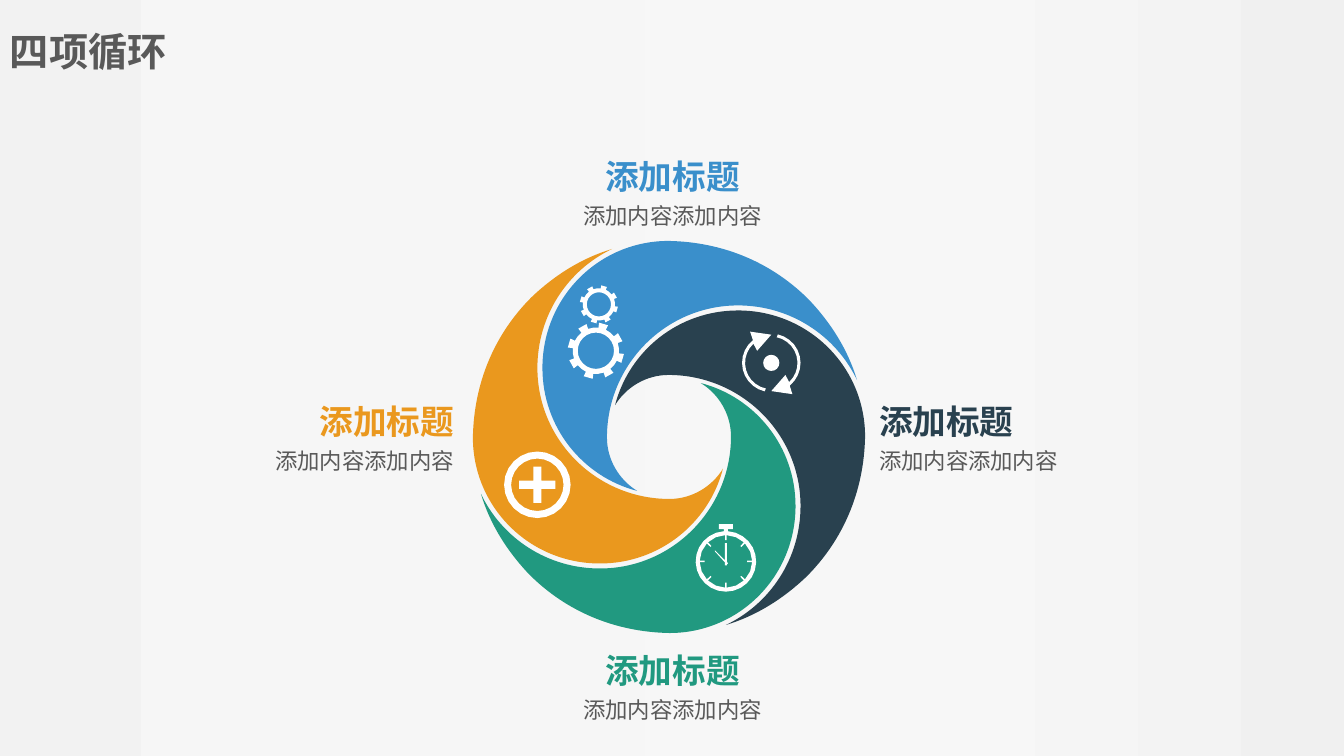
from copy import deepcopy
from math import cos, radians, sin

from lxml.etree import SubElement
from pptx import Presentation
from pptx.dml.color import RGBColor as Rgb
from pptx.enum.text import MSO_AUTO_SIZE as Fit, PP_ALIGN as Align
from pptx.oxml.ns import qn
from pptx.util import Inches, Pt

BLUE = Rgb(0x3A, 0x8F, 0xCB)
NAVY = Rgb(0x29, 0x41, 0x4F)
GREEN = Rgb(0x21, 0x99, 0x80)
ORANGE = Rgb(0xEA, 0x98, 0x1E)
WHITE = Rgb(0xFF, 0xFF, 0xFF)
GRAY = Rgb(0x59, 0x59, 0x59)
STOPS = [
    (0, Rgb(0xF2, 0xF2, 0xF2)),
    (0.21, Rgb(0xF6, 0xF6, 0xF6)),
    (0.48, Rgb(0xF7, 0xF7, 0xF7)),
    (0.77, Rgb(0xF5, 0xF5, 0xF5)),
    (1, Rgb(0xF0, 0xF0, 0xF0)),
]

HUB = (6.635, 4.335)
BLADE = [
    (6.63, 2.39),
    (5.94, 2.39), (5.38, 2.95), (5.38, 3.65),
    (5.38, 4.24), (5.78, 4.73), (6.32, 4.87),
    (6.14, 4.76), (6.02, 4.56), (6.02, 4.34),
    (6.02, 3.62), (6.6, 3.03), (7.32, 3.03),
    (7.84, 3.03), (8.29, 3.33), (8.5, 3.77),
    (8.41, 3.47), (8.24, 3.2), (8.02, 2.97),
    (7.66, 2.61), (7.18, 2.4), (6.63, 2.39),
]
LABELS = [
    (5.11, 1.42, BLUE, Align.CENTER),
    (8.62, 3.85, NAVY, Align.LEFT),
    (5.11, 6.32, GREEN, Align.CENTER),
    (1.48, 3.85, ORANGE, Align.RIGHT),
]


def polar(mid, r, deg):
    return mid[0] + r * sin(radians(deg)), mid[1] - r * cos(radians(deg))


def arc(mid, r, start=0, end=360, steps=24):
    return [polar(mid, r, start + (end - start) * i / steps)
            for i in range(steps + 1)]


def turn(points, mid, deg):
    c, s = cos(radians(deg)), sin(radians(deg))
    return [(mid[0] + (x - mid[0]) * c - (y - mid[1]) * s,
             mid[1] + (x - mid[0]) * s + (y - mid[1]) * c)
            for x, y in points]


def teeth(mid, root, tip, first, half):
    points = []
    for i in range(8):
        deg = first + 45 * i
        points += [polar(mid, tip, deg - half), polar(mid, tip, deg + half)]
        points += arc(mid, root, deg + half, deg + 45 - half, 2)
    return points


def plus():
    mid, long, thin = (5.33, 4.81), 0.18, 0.04
    arm = [(mid[0] - thin, mid[1] - thin), (mid[0] - thin, mid[1] - long),
           (mid[0] + thin, mid[1] - long)]
    cross = [p for i in range(4) for p in turn(arm, mid, 90 * i)]
    return [arc(mid, 0.33), arc(mid, 0.26), cross]


def gears():
    big, small = (5.91, 3.48), (5.94, 3.02)
    return [arc(big, 0.18), teeth(big, 0.23, 0.28, 16, 9.5),
            arc(small, 0.12), teeth(small, 0.16, 0.19, 16, 9)]


def cycle():
    mid = (7.65, 3.6)
    head = [(7.86, 3.91), (7.65, 3.88), (7.79, 3.72)]
    arrow = (arc(mid, 0.29, 13, 141, 10) + head
             + arc(mid, 0.26, 137, 12, 10))
    return [arc(mid, 0.08, steps=16), arrow, turn(arrow, mid, 180)]


def watch():
    mid = (7.2, 5.57)
    knob = [(7.18, 5.25), (7.13, 5.25), (7.13, 5.2),
            (7.27, 5.2), (7.27, 5.25), (7.22, 5.25)]
    hands = [(7.19, 5.39), (7.21, 5.39), (7.21, 5.57), (7.22, 5.59),
             (7.21, 5.6), (7.21, 5.61), (7.19, 5.61), (7.19, 5.58),
             (7.09, 5.47), (7.09, 5.46), (7.19, 5.56)]
    return [arc(mid, 0.3, 4, 356) + knob,
            teeth(mid, 0.26, 0.21, 0, 1.8), hands]


def bend(shape):
    lines = list(shape.element.iter(qn("a:lnTo")))
    for i in range(0, len(lines), 3):
        trio = lines[i:i + 3]
        route = trio[0].getparent()
        cubic = SubElement(route, qn("a:cubicBezTo"))
        trio[0].addprevious(cubic)
        for line in trio:
            cubic.append(line[0])
            route.remove(line)


def write(para, text, size, color, bold=False, align=Align.LEFT, space=1.0):
    para.alignment = align
    para.line_spacing = space
    run = para.add_run()
    run.text = text
    font = run.font
    font.name = "Calibri"
    font.size = Pt(size)
    font.bold = bold
    font.color.rgb = color


class Page:
    def __init__(self, deck):
        self.slide = deck.slides.add_slide(deck.slide_layouts[6])
        self.shapes = self.slide.shapes

    def shade(self, stops):
        fill = self.slide.background.fill
        fill.gradient()
        fill.gradient_angle = 0
        row = self.slide.element.find(".//" + qn("a:gsLst"))
        while len(row) < len(stops):
            row.append(deepcopy(row[0]))
        for stop, (place, color) in zip(fill.gradient_stops, stops):
            stop.position = place
            stop.color.rgb = color

    def outline(self, loops, color):
        loops = [[(Inches(x), Inches(y)) for x, y in loop] for loop in loops]
        pen = self.shapes.build_freeform(*loops[0][0])
        for i, loop in enumerate(loops):
            if i:
                pen.move_to(*loop[0])
            pen.add_line_segments(loop[1:], close=True)
        shape = pen.convert_to_shape()
        shape.shadow.inherit = False
        shape.fill.solid()
        shape.fill.fore_color.rgb = color
        shape.line.fill.background()
        return shape

    def box(self, x, y, w, h, wrap=True):
        frame = self.shapes.add_textbox(
            Inches(x), Inches(y), Inches(w), Inches(h)).text_frame
        frame.word_wrap = wrap
        frame.auto_size = Fit.SHAPE_TO_FIT_TEXT
        return frame

    def label(self, x, y, color, align):
        frame = self.box(x, y, 3.12, 0.91)
        write(frame.paragraphs[0], "添加标题", 24, color,
              bold=True, align=align, space=1.2)
        write(frame.add_paragraph(), "添加内容添加内容", 16, GRAY,
              align=align, space=1.2)

    def title(self, text):
        frame = self.box(0, 0.22, 1.77, 0.57, wrap=False)
        write(frame.paragraphs[0], text, 28, GRAY, bold=True)


def main():
    deck = Presentation()
    deck.slide_width, deck.slide_height = Inches(13.33), Inches(7.5)
    page = Page(deck)
    page.shade(STOPS)
    for i, color in enumerate((BLUE, NAVY, GREEN, ORANGE)):
        bend(page.outline([turn(BLADE, HUB, 90 * i)], color))
    for icon in (plus, gears, cycle, watch):
        page.outline(icon(), WHITE)
    for spot in LABELS:
        page.label(*spot)
    page.title("四项循环")
    deck.save("out.pptx")


if __name__ == "__main__":
    main()
